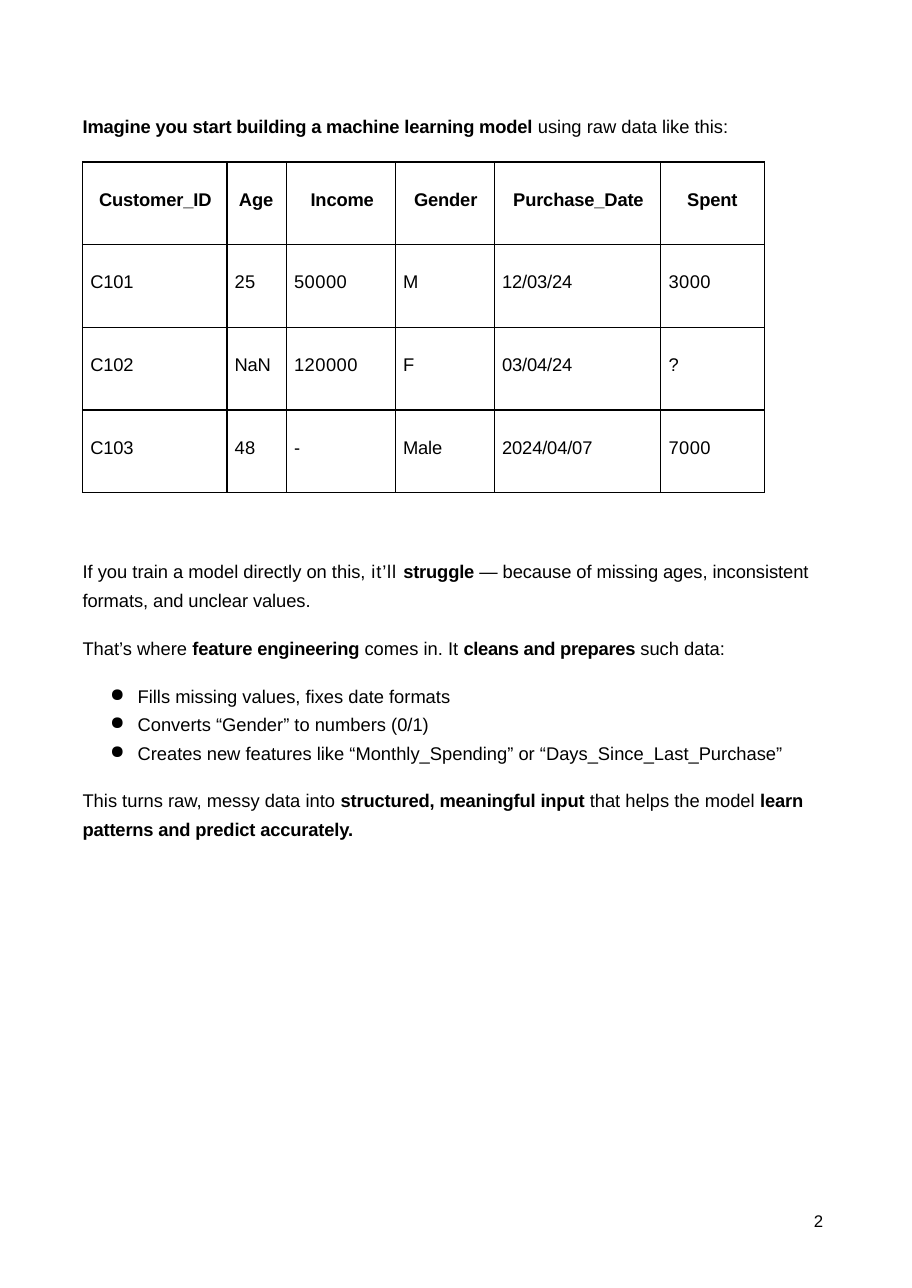
import pptx
import pptx.dml.color
import pptx.enum.text
import pptx.oxml.ns
import pptx.util
from dataclasses import dataclass
from lxml import etree

Inches, Pt = pptx.util.Inches, pptx.util.Pt
WIDTH, HEIGHT = 8.28, 11.69
MARGIN = 0.74
INDENT = 0.01
ROW_HEIGHT = 0.75
CELL_INDENT, CELL_TOP = 0.07, 0.25
BULLET_INDENT, BULLET_HANG = 0.51, 0.25


@dataclass(frozen=True)
class Theme:
    font: str = "Arial"
    ink: str = "000000"
    body: float = 12
    footer: float = 11
    border: float = 1
    line_spacing: float = 1.31
    paragraph_gap: float = 17
    bullet_gap: float = 4.4
    closing_gap: float = 12
    letter_spacing: float = -0.1
    digit_spacing: float = 0.3


THEME = Theme()

INTRO = [("Imagine you start building a machine learning model ", True, -0.1),
         ("using raw data like this:", False, 0)]

COLUMNS = [
    ("Customer_ID", 1.31, 0.15, ["C101", "C102", "C103"]),
    ("Age", 0.54, 0.11, ["25", "NaN", "48"]),
    ("Income", 0.99, 0.22, ["50000", "120000", "-"]),
    ("Gender", 0.90, 0.17, ["M", "F", "Male"]),
    ("Purchase_Date", 1.51, 0.17, ["12/03/24", "03/04/24", "2024/04/07"]),
    ("Spent", 0.94, 0.24, ["3000", "?", "7000"]),
]

STRUGGLE = [("If you train a model directly on this, ", False, 0),
            ("it’ll ", False, 0.6),
            ("struggle ", True, -0.1),
            ("— because of missing ages, inconsistent formats, and unclear values.", False, -0.05)]
SOLUTION = [("That’s where ", False, 0),
            ("feature engineering ", True, -0.1),
            ("comes in. It ", False, 0),
            ("cleans and prepares ", True, -0.2),
            ("such data:", False, 0)]
BULLETS = ["Fills missing values, ﬁxes date formats",
           "Converts “Gender” to numbers (0/1)",
           "Creates new features like “Monthly_Spending” or “Days_Since_Last_Purchase”"]
RESULT = [("This turns raw, messy data into ", False, 0),
          ("structured, meaningful input ", True, -0.1),
          ("that helps the model ", False, 0),
          ("learn patterns and predict accurately.", True, -0.1)]
PAGE_NUMBER = [("2", False, -0.2)]


def write(paragraph, runs, indent=INDENT, size=THEME.body, before=0, line_spacing=None):
    paragraph.font.name = THEME.font
    paragraph.font.size = Pt(size)
    paragraph.font.color.rgb = pptx.dml.color.RGBColor.from_string(THEME.ink)
    paragraph.space_before = Pt(before)
    if line_spacing:
        paragraph.line_spacing = line_spacing
    properties = paragraph._p.get_or_add_pPr()
    properties.set("marL", str(Inches(indent)))
    properties.set("indent", "0")
    for text, bold, spacing in runs:
        run = paragraph.add_run()
        run.text = text
        run.font.bold = bold
        run._r.get_or_add_rPr().set("spc", str(round(spacing * 100)))


def add_bullet(paragraph):
    properties = paragraph._p.get_or_add_pPr()
    properties.set("indent", str(-Inches(BULLET_HANG)))
    bullet = etree.Element(pptx.oxml.ns.qn("a:buChar"), char="●")
    properties.find(pptx.oxml.ns.qn("a:defRPr")).addprevious(bullet)


def add_text_frame(slide, left, top, width, height, inset_top=0.01):
    frame = slide.shapes.add_textbox(*map(Inches, (left, top, width, height))).text_frame
    frame.word_wrap = True
    frame.margin_left = frame.margin_right = frame.margin_bottom = 0
    frame.margin_top = Inches(inset_top)
    return frame


def add_borders(cell):
    properties = cell._tc.get_or_add_tcPr()
    for side in ("lnL", "lnR", "lnT", "lnB"):
        line = etree.SubElement(properties, pptx.oxml.ns.qn(f"a:{side}"), w=str(Pt(THEME.border)))
        fill = etree.SubElement(line, pptx.oxml.ns.qn("a:solidFill"))
        etree.SubElement(fill, pptx.oxml.ns.qn("a:srgbClr"), val=THEME.ink)


def fill_cell(cell, text, indent, bold):
    add_borders(cell)
    cell.fill.background()
    cell.margin_left = cell.margin_right = cell.margin_bottom = 0
    cell.margin_top = Inches(CELL_TOP)
    cell.vertical_anchor = pptx.enum.text.MSO_ANCHOR.TOP
    spacing = THEME.digit_spacing if text.isdigit() else THEME.letter_spacing
    write(cell.text_frame.paragraphs[0], [(text, bold, spacing)], indent)


def add_customer_table(slide):
    row_count = 1 + len(COLUMNS[0][3])
    total_width = sum(width for _, width, _, _ in COLUMNS)
    table = slide.shapes.add_table(
        row_count, len(COLUMNS), Inches(MARGIN + INDENT), Inches(1.47),
        Inches(total_width), Inches(row_count * ROW_HEIGHT)).table
    table.first_row = table.horz_banding = False
    for row in table.rows:
        row.height = Inches(ROW_HEIGHT)
    for column, (header, width, header_indent, values) in enumerate(COLUMNS):
        table.columns[column].width = Inches(width)
        fill_cell(table.cell(0, column), header, header_indent, True)
        for row, value in enumerate(values, 1):
            fill_cell(table.cell(row, column), value, CELL_INDENT, False)


def add_explanation(slide):
    frame = add_text_frame(slide, MARGIN, 5.01, 6.66, 2.62)
    write(frame.paragraphs[0], STRUGGLE, line_spacing=THEME.line_spacing)
    write(frame.add_paragraph(), SOLUTION, before=THEME.paragraph_gap)
    for index, text in enumerate(BULLETS):
        paragraph = frame.add_paragraph()
        gap = THEME.bullet_gap if index else THEME.paragraph_gap
        write(paragraph, [(text, False, 0)], BULLET_INDENT, before=gap)
        add_bullet(paragraph)
    write(frame.add_paragraph(), RESULT, before=THEME.closing_gap,
          line_spacing=THEME.line_spacing)


def main():
    presentation = pptx.Presentation()
    presentation.slide_width, presentation.slide_height = Inches(WIDTH), Inches(HEIGHT)
    slide = presentation.slides.add_slide(presentation.slide_layouts[6])
    intro = add_text_frame(slide, MARGIN, 1.04, 5.91, 0.23)
    write(intro.paragraphs[0], INTRO)
    add_customer_table(slide)
    add_explanation(slide)
    number = add_text_frame(slide, 7.38, 10.99, 0.24, 0.2, 0)
    write(number.paragraphs[0], PAGE_NUMBER, size=THEME.footer)
    presentation.save("out.pptx")


if __name__ == "__main__":
    main()
